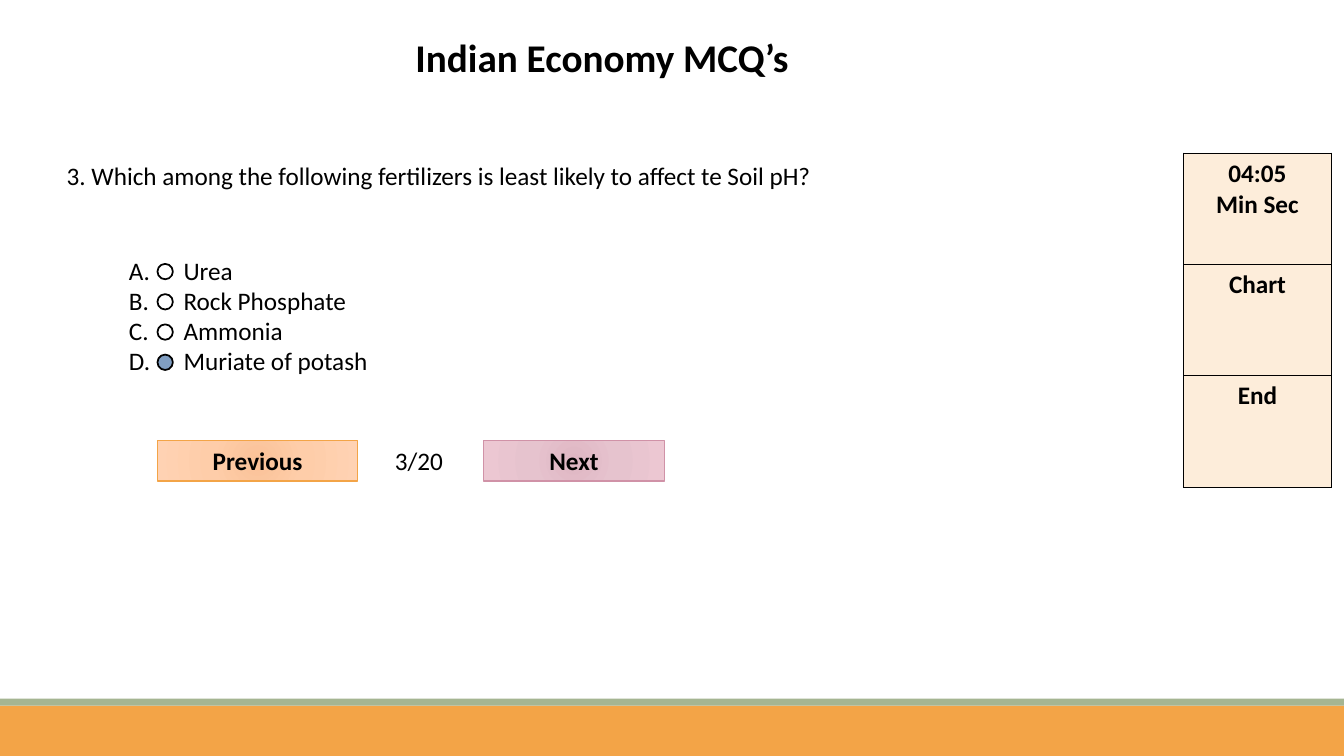
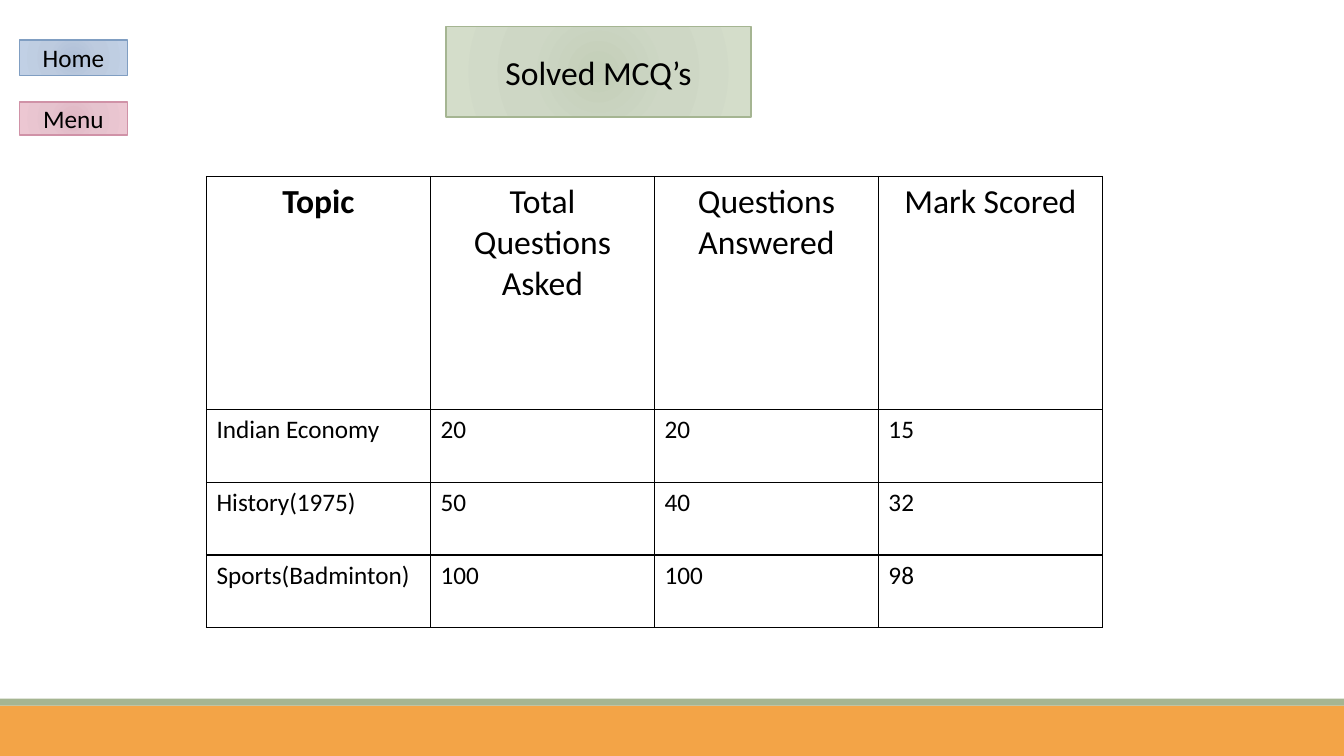
import pptx
import pptx.util
import pptx.oxml
import pptx.oxml.ns
import pptx.dml.color
import pptx.enum.shapes
import pptx.enum.text
import lxml.etree

Pt = pptx.util.Pt
RGB = pptx.dml.color.RGBColor.from_string
SHAPE = pptx.enum.shapes.MSO_SHAPE
LEFT = pptx.enum.text.PP_ALIGN.LEFT
CENTER = pptx.enum.text.PP_ALIGN.CENTER
MIDDLE = pptx.enum.text.MSO_ANCHOR.MIDDLE
qn = pptx.oxml.ns.qn

FONT = "Calibri"
WIDTH, HEIGHT = 960, 540
COLORS = {
    "text": "000000",
    "white": "FFFFFF",
    "orange": "F3A447",
    "green": "A5B592",
    "pink": "D092A7",
    "blue": "809EC2",
    "panel": "FDEDDA",
}
# Gradient stops at 0, 45 and 100 percent, named after the outline colour
GRADIENTS = {
    "orange": ("FAC197", "FECDA9", "FFD2B3"),
    "pink": ("DFB6C3", "E6C3CE", "ECC7D2"),
    "green": ("C3CEB8", "CED7C5", "D4DDCA"),
    "blue": ("AFBFD7", "BDCBDF", "C1D0E5"),
}


def write(tf, text, size=18, bold=False, align=LEFT):
    tf.word_wrap = True
    tf.text = text
    for p in tf.paragraphs:
        p.alignment = align
        for r in p.runs:
            r.font.name = FONT
            r.font.size = Pt(size)
            r.font.bold = bold
            r.font.color.rgb = RGB(COLORS["text"])


def add_grid(s, left, top, col_width, row_heights, n_cols, fill=None):
    """Add a table with black cell borders and an optional cell fill."""
    frame = s.shapes.add_table(len(row_heights), n_cols, Pt(left), Pt(top),
                               Pt(col_width * n_cols), Pt(sum(row_heights)))
    table = frame.table
    table.first_row = table.horz_banding = False
    for col in table.columns:
        col.width = Pt(col_width)
    for row, height in zip(table.rows, row_heights):
        row.height = Pt(height)
    for cell in table.iter_cells():
        tcPr = cell._tc.get_or_add_tcPr()
        for side in ("a:lnL", "a:lnR", "a:lnT", "a:lnB"):
            ln = lxml.etree.SubElement(tcPr, qn(side), w=str(Pt(1)))
            solid = lxml.etree.SubElement(ln, qn("a:solidFill"))
            lxml.etree.SubElement(solid, qn("a:srgbClr"), val=COLORS["text"])
        if fill:
            cell.fill.solid()
            cell.fill.fore_color.rgb = RGB(COLORS[fill])
        else:
            cell.fill.background()
    return table


prs = pptx.Presentation()
prs.slide_width, prs.slide_height = Pt(WIDTH), Pt(HEIGHT)
quiz, scores = [prs.slides.add_slide(prs.slide_layouts[6]) for _ in range(2)]

# Footer bands
for s in (quiz, scores):
    for top, height, color in ((504, 36, "orange"), (499, 5, "green")):
        sp = s.shapes.add_shape(SHAPE.RECTANGLE, 0, Pt(top), Pt(WIDTH), Pt(height))
        sp.shadow.inherit = False
        sp.fill.solid()
        sp.fill.fore_color.rgb = RGB(COLORS[color])
        sp.line.fill.background()

# Buttons and the heading box
buttons = [
    (quiz, "Previous", 112.5, 314.5, 143, 29, "orange", 18, True),
    (quiz, "Next", 345.5, 314.5, 129, 29, "pink", 18, True),
    (scores, "Solved MCQ’s", 318.5, 19, 218, 64.5, "green", 24, False),
    (scores, "Home", 14, 28.5, 77, 25.5, "blue", 18, False),
    (scores, "Menu", 14, 73, 77, 23.5, "pink", 18, False),
]
for s, text, left, top, width, height, color, size, bold in buttons:
    sp = s.shapes.add_shape(SHAPE.RECTANGLE, Pt(left), Pt(top), Pt(width), Pt(height))
    sp.shadow.inherit = False
    sp.line.color.rgb = RGB(COLORS[color])
    sp.line.width = Pt(1)
    sp.fill.background()
    spPr = sp._element.spPr
    grad = lxml.etree.Element(qn("a:gradFill"), rotWithShape="1")
    stops = lxml.etree.SubElement(grad, qn("a:gsLst"))
    for pos, stop in zip((0, 45, 100), GRADIENTS[color]):
        gs = lxml.etree.SubElement(stops, qn("a:gs"), pos=str(pos * 1000))
        lxml.etree.SubElement(gs, qn("a:srgbClr"), val=stop)
    circle = lxml.etree.SubElement(grad, qn("a:path"), path="circle")
    lxml.etree.SubElement(circle, qn("a:fillToRect"),
                          {side: "100000" for side in "ltrb"})
    spPr.replace(spPr.find(qn("a:noFill")), grad)
    write(sp.text_frame, text, size, bold, CENTER)
    sp.text_frame.vertical_anchor = MIDDLE

# Quiz: title, question, page count and answers
options = ["Urea", "Rock Phosphate", "Ammonia", "Muriate of potash"]
texts = [
    ("Indian Economy MCQ’s", 199, 20, 462, 41, 28, True, CENTER),
    ("3. Which among the following fertilizers is least likely to affect te Soil pH?",
     40.5, 111, 558, 51, 18, False, LEFT),
    ("3/20", 275, 314.5, 52, 29, 18, False, LEFT),
    ("\n".join(options), 85, 178.5, 299, 117, 18, False, LEFT),
]
for text, left, top, width, height, size, bold, align in texts:
    box = quiz.shapes.add_textbox(Pt(left), Pt(top), Pt(width), Pt(height))
    write(box.text_frame, text, size, bold, align)

answers = box.text_frame
for i, p in enumerate(answers.paragraphs):
    pPr = p._p.get_or_add_pPr()
    pPr.set("marL", str(Pt(39)))
    pPr.set("indent", str(-Pt(39)))
    lxml.etree.SubElement(pPr, qn("a:buFont"), typeface="+mj-lt")
    lxml.etree.SubElement(pPr, qn("a:buAutoNum"), type="alphaUcPeriod")

    radio = quiz.shapes.add_shape(SHAPE.FLOWCHART_CONNECTOR, Pt(112.5),
                                  Pt(188.5 + 21.6 * i), Pt(11), Pt(11))
    radio.shadow.inherit = False
    radio.fill.solid()
    chosen = options[i] == "Muriate of potash"
    radio.fill.fore_color.rgb = RGB(COLORS["blue" if chosen else "white"])
    radio.line.color.rgb = RGB(COLORS["text"])
    radio.line.width = Pt(1.25)

# Quiz: side panel
panel = add_grid(quiz, 845.5, 109.5, 105.5, [79.5] * 3, 1, "panel")
for cell, text in zip(panel.iter_cells(), ("04:05\nMin Sec", "Chart", "End")):
    write(cell.text_frame, text, bold=True, align=CENTER)

# Scores table
rows = [
    ("Topic", "Total Questions Asked", "Questions Answered", "Mark Scored"),
    ("Indian Economy", "20", "20", "15"),
    ("History(1975)", "50", "40", "32"),
    ("Sports(Badminton)", "100", "100", "98"),
]
table = add_grid(scores, 147.5, 126, 160, [166.5, 52, 52, 52], 4)
for r, row in enumerate(rows):
    for c, text in enumerate(row):
        tf = table.cell(r, c).text_frame
        if r == 0:
            write(tf, text, 24, bold=c == 0, align=CENTER)
        else:
            write(tf, text)

prs.save("out.pptx")
